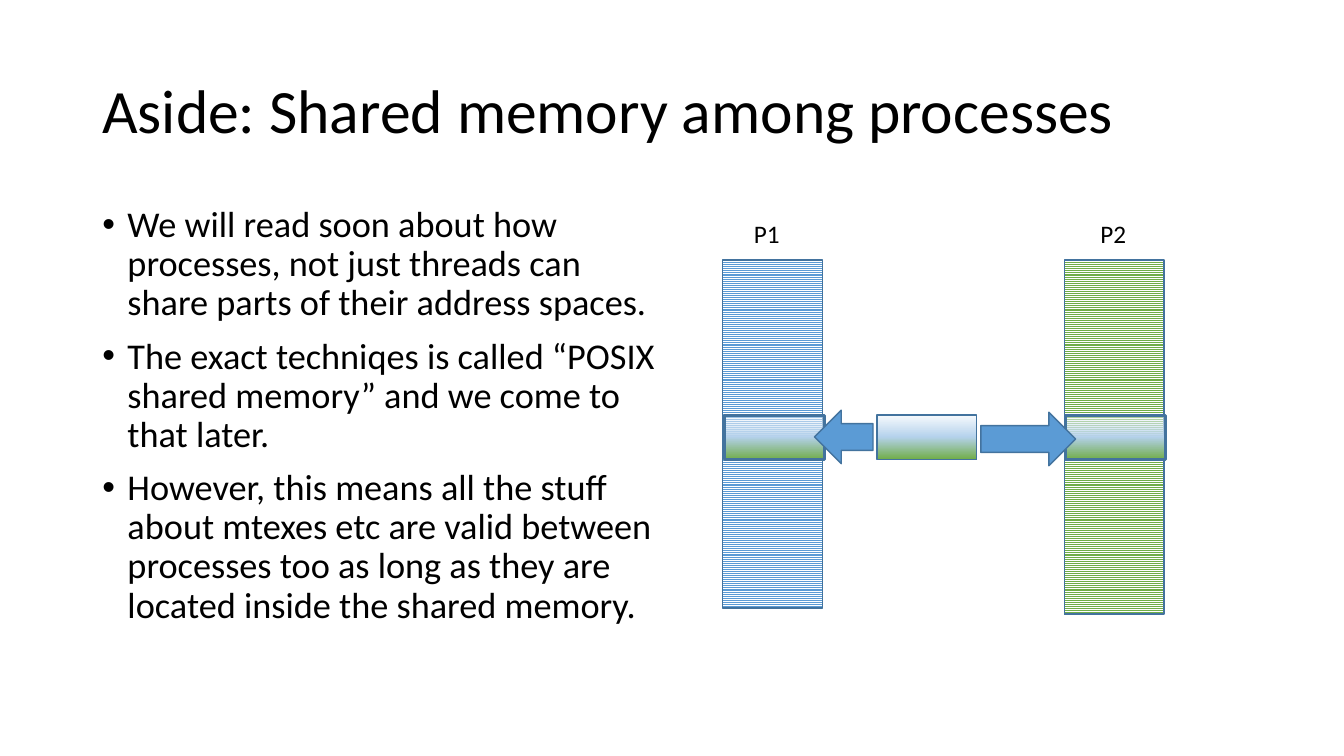
"""Build a slide about shared memory among processes."""
import lxml.etree
import pptx
import pptx.dml.color
import pptx.enum.dml
import pptx.enum.shapes
import pptx.enum.text
import pptx.oxml.ns
import pptx.util

Pt = pptx.util.Pt
SHAPES = pptx.enum.shapes.MSO_SHAPE
ANCHORS = pptx.enum.text.MSO_ANCHOR
qn = pptx.oxml.ns.qn


def color(hex_string):
    """Return the colour for a hex string."""
    return pptx.dml.color.RGBColor.from_string(hex_string)


class SlideBuilder:
    """Hold the style and the current slide."""

    font = "Calibri"
    ink = "000000"
    outline = "43739E"
    blue = "5B9BD5"
    green = "70AD47"
    gradient = [(0, "F7FAFD"), (49, "B5D2EC"), (100, green)]

    def __init__(self, slide):
        """Keep the slide to draw on."""
        self.slide = slide

    def text(self, box, lines, size, anchor=ANCHORS.TOP, spacing=1.0, wrap=True, bullets=False):
        """Add a text box with one paragraph per line."""
        frame = self.slide.shapes.add_textbox(*map(Pt, box)).text_frame
        frame.word_wrap = wrap
        frame.vertical_anchor = anchor
        frame.text = "\n".join(lines)
        for index, paragraph in enumerate(frame.paragraphs):
            paragraph.line_spacing = spacing
            if bullets:
                paragraph.space_before = Pt(10 if index else 0)
                self.bullet(paragraph)
            paragraph.font.name = self.font
            paragraph.font.size = Pt(size)
            paragraph.font.color.rgb = color(self.ink)

    def bullet(self, paragraph):
        """Give a paragraph a hanging bullet."""
        properties = paragraph._p.get_or_add_pPr()
        properties.set("marL", str(Pt(18)))
        properties.set("indent", str(-Pt(18)))
        lxml.etree.SubElement(properties, qn("a:buFont")).set("typeface", "Arial")
        lxml.etree.SubElement(properties, qn("a:buChar")).set("char", "•")

    def shape(self, kind, box, line_width=1):
        """Add an outlined preset shape."""
        shape = self.slide.shapes.add_shape(kind, *map(Pt, box))
        shape.shadow.inherit = False
        shape.line.color.rgb = color(self.outline)
        shape.line.width = Pt(line_width)
        return shape

    def address_space(self, box, stripe):
        """Add a striped column of process memory."""
        fill = self.shape(SHAPES.RECTANGLE, box).fill
        fill.patterned()
        fill.pattern = pptx.enum.dml.MSO_PATTERN.LIGHT_HORIZONTAL
        fill.fore_color.rgb = color(stripe)
        fill.back_color.rgb = color("FFFFFF")

    def shared_block(self, box, line_width=1, top_opacity=100):
        """Add a block of shared memory with a vertical gradient."""
        shape = self.shape(SHAPES.RECTANGLE, box, line_width)
        shape.fill.gradient()
        shape.fill.gradient_angle = 270
        stops = shape._element.spPr.find(qn("a:gradFill")).find(qn("a:gsLst"))
        for stop in list(stops):
            stops.remove(stop)
        for position, tint in self.gradient:
            stop = lxml.etree.SubElement(stops, qn("a:gs"), pos=str(position * 1000))
            value = lxml.etree.SubElement(stop, qn("a:srgbClr"), val=tint)
            if position == 0 and top_opacity < 100:
                lxml.etree.SubElement(value, qn("a:alpha"), val=str(top_opacity * 1000))

    def arrow(self, box, rotation=0):
        """Add a solid block arrow."""
        shape = self.shape(SHAPES.RIGHT_ARROW, box)
        shape.rotation = rotation
        shape.fill.solid()
        shape.fill.fore_color.rgb = color(self.blue)


def main():
    """Create the presentation and save it."""
    presentation = pptx.Presentation()
    presentation.slide_width = Pt(960)
    presentation.slide_height = Pt(540)
    slide = presentation.slides.add_slide(presentation.slide_layouts[6])
    builder = SlideBuilder(slide)

    builder.text((66, 28.75, 828, 104.4), ["Aside: Shared memory among processes"],
                 44, anchor=ANCHORS.MIDDLE, spacing=0.9)
    builder.text((66, 143.75, 414.72, 342.6), [
        "We will read soon about how processes, not just threads can share parts "
        "of their address spaces.",
        "The exact techniqes is called “POSIX shared memory” and we come to that later.",
        "However, this means all the stuff about mtexes etc are valid between processes "
        "too as long as they are located inside the shared memory.",
    ], 25.9, spacing=0.9, bullets=True)

    width, column_top, block_top, block_height = 71.3, 185.8, 296.6, 31.7
    processes = [
        ("P1", 531.4, 516.2, 248.4, builder.blue),
        ("P2", 779, 760.3, 252.7, builder.green),
    ]
    for name, label_left, left, height, stripe in processes:
        builder.address_space((left, column_top, width, height), stripe)
        builder.text((label_left, 152.6, 33.1, 29), [name], 18, wrap=False)

    builder.shared_block((626.4, block_top, width, block_height))
    mappings = [
        (517.7, (581.8, 293, 41.8, 38.2), 180),
        (761, (700.6, 294.5, 67.7, 38.2), 0),
    ]
    for left, arrow_box, rotation in mappings:
        builder.shared_block((left, block_top, width, block_height), 2.25, 40)
        builder.arrow(arrow_box, rotation)

    presentation.save("out.pptx")


if __name__ == "__main__":
    main()
